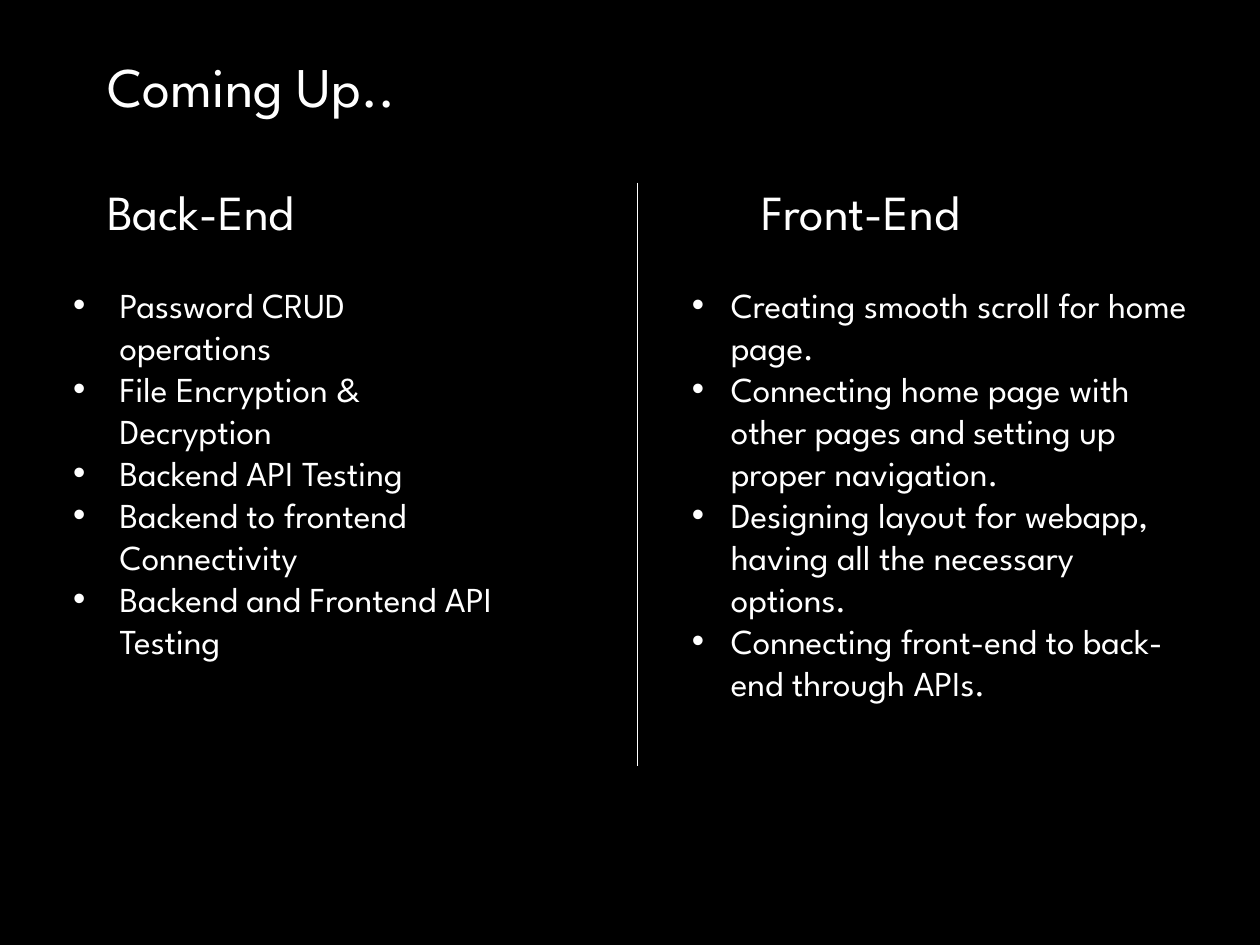
from dataclasses import dataclass

from lxml import etree
from pptx import Presentation
from pptx import util as u
from pptx.dml import color
from pptx.enum import shapes, text
from pptx.oxml import ns


@dataclass(frozen=True)
class Theme:
    font: str = "League Spartan"
    back: color.RGBColor = color.RGBColor(0, 0, 0)
    ink: color.RGBColor = color.RGBColor(255, 255, 255)
    title: int = 32
    head: int = 28
    body: int = 20
    rule: float = 0.75
    edge: float = 2


@dataclass(frozen=True)
class Box:
    left: float
    top: float
    width: float
    height: float

    def lengths(self) -> tuple[u.Length, ...]:
        sides = (self.left, self.top, self.width, self.height)
        return tuple(u.Inches(side) for side in sides)


@dataclass(frozen=True)
class Column:
    head: str
    place: Box
    items: tuple[str, ...]
    area: Box
    margin: float
    hang: float


THEME = Theme()
COLUMNS = (
    Column(
        "Back-End",
        Box(0.75, 1.39, 2.28, 0.57),
        (
            "Password CRUD operations",
            "File Encryption & Decryption",
            "Backend API Testing",
            "Backend to frontend Connectivity",
            "Backend and Frontend API Testing",
        ),
        Box(0.47, 2.2, 3.62, 3.1),
        0.38,
        0.37,
    ),
    Column(
        "Front-End",
        Box(5.94, 1.39, 2.28, 0.57),
        (
            "Creating smooth scroll for home page.",
            "Connecting home page with other pages and setting up proper navigation.",
            "Designing layout for webapp, having all the necessary options.",
            "Connecting front-end to back-end through APIs.",
        ),
        Box(5.39, 2.2, 4.17, 4.43),
        0.31,
        0.31,
    ),
)


def write(holder, lines: tuple[str, ...], box: Box, *, size: int,
          margin: float = 0, hang: float = 0) -> None:
    holder.left, holder.top, holder.width, holder.height = box.lengths()
    frame = holder.text_frame
    frame.text = "\n".join(lines)
    frame.word_wrap = True
    frame.auto_size = text.MSO_AUTO_SIZE.NONE
    frame.vertical_anchor = text.MSO_ANCHOR.TOP
    for para in frame.paragraphs:
        para.alignment = text.PP_ALIGN.LEFT
        para.space_before = u.Pt(0)
        props = para._p.get_or_add_pPr()
        props.set("marL", str(u.Inches(margin)))
        props.set("indent", str(-u.Inches(hang)))
        for run in para.runs:
            run.font.name = THEME.font
            run.font.size = u.Pt(size)
            run.font.bold = False
            run.font.color.rgb = THEME.ink


def cover(slide, box: Box) -> None:
    panel = slide.shapes.add_shape(shapes.MSO_SHAPE.RECTANGLE, *box.lengths())
    panel.shadow.inherit = False
    panel.fill.solid()
    panel.fill.fore_color.rgb = THEME.back
    panel.line.color.rgb = THEME.back
    panel.line.width = u.Pt(THEME.edge)
    slide.shapes._spTree.insert(2, panel._element)


def divide(slide, x: float, top: float, end: float) -> None:
    line = slide.shapes.add_connector(
        shapes.MSO_CONNECTOR.STRAIGHT,
        u.Inches(x), u.Inches(top), u.Inches(x), u.Inches(end),
    )
    line.line.color.rgb = THEME.ink
    line.line.width = u.Pt(THEME.rule)
    etree.SubElement(line._element.spPr, ns.qn("a:effectLst"))


def main() -> None:
    deck = Presentation()
    deck.slide_width, deck.slide_height = u.Inches(10), u.Inches(7.5)
    slide = deck.slides.add_slide(deck.slide_layouts.get_by_name("Comparison"))
    title, *slots = slide.placeholders
    cover(slide, Box(-0.28, -0.16, 10.67, 7.69))
    write(title, ("Coming Up..",), Box(0.75, 0.36, 3.39, 0.63), size=THEME.title)
    for col, head, body in zip(COLUMNS, slots[::2], slots[1::2]):
        write(head, (col.head,), col.place, size=THEME.head)
        write(body, col.items, col.area, size=THEME.body,
              margin=col.margin, hang=col.hang)
    divide(slide, 5.06, 1.45, 6.08)
    deck.save("out.pptx")


if __name__ == "__main__":
    main()
